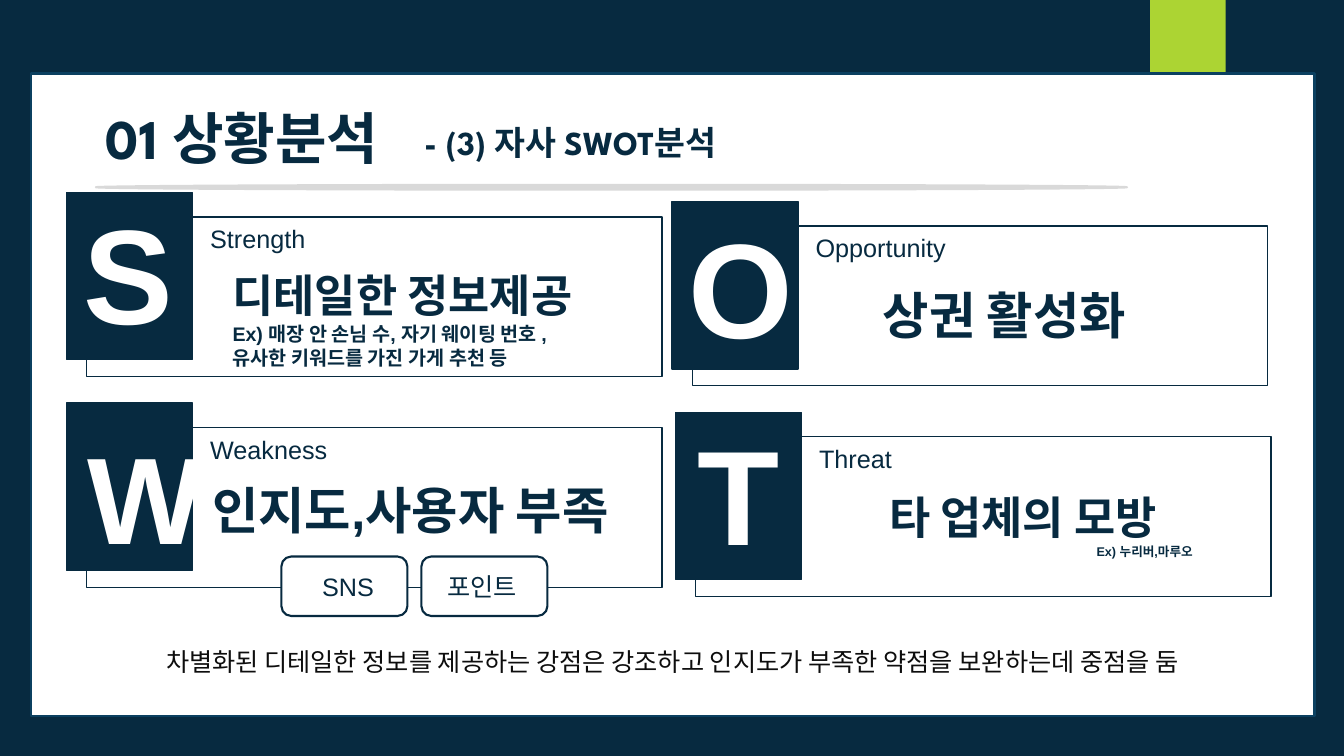
from lxml import etree
from pptx import Presentation
from pptx.dml.color import RGBColor
from pptx.enum.shapes import MSO_SHAPE
from pptx.enum.text import MSO_ANCHOR, MSO_AUTO_SIZE, PP_ALIGN
from pptx.oxml.ns import qn
from pptx.util import Pt

RECT, ROUND, OVAL = MSO_SHAPE.RECTANGLE, MSO_SHAPE.ROUNDED_RECTANGLE, MSO_SHAPE.OVAL
LEFT, CENTER, RIGHT = PP_ALIGN.LEFT, PP_ALIGN.CENTER, PP_ALIGN.RIGHT
TOP, NO_FIT = MSO_ANCHOR.TOP, MSO_AUTO_SIZE.NONE
COLORS = {"navy": "072A40", "edge": "0B4060", "lime": "ACD433",
          "gray": "D9D9D9", "white": "FFFFFF", "ink": "0D0D0D"}
HEAD_FONT, BODY_FONT, KOREAN_FONT = "League Spartan", "Arial", "Noto Sans CJK KR"


def rgb(name):
    return RGBColor.from_string(COLORS[name])


def style(p, size, color="navy", bold=False, font=BODY_FONT, align=LEFT):
    p.alignment = align
    for r in p.runs:
        r.font.size, r.font.bold, r.font.name = Pt(size), bold, font
        r.font.color.rgb = rgb(color)
        ea = etree.SubElement(r.font._element, qn("a:ea"))
        ea.set("typeface", KOREAN_FONT)


def add_box(shapes, box, fill, line=None, width=1, kind=RECT, alpha=None):
    sp = shapes.add_shape(kind, *map(Pt, box))
    sp.shadow.inherit = False
    sp.fill.solid()
    sp.fill.fore_color.rgb = rgb(fill)
    if alpha:
        color = sp.fill._xPr.find(qn("a:solidFill"))[0]
        etree.SubElement(color, qn("a:alpha")).set("val", str(alpha * 1000))
    if line:
        sp.line.color.rgb = rgb(line)
        sp.line.width = Pt(width)
    else:
        sp.line.fill.background()
    return sp


def add_text(shapes, box, text, size, wrap=True, **look):
    sp = shapes.add_textbox(*map(Pt, box))
    tf = sp.text_frame
    tf.word_wrap = wrap
    tf.text = text
    for p in tf.paragraphs:
        style(p, size, **look)
    return tf


def add_backdrop(s, box):
    """Navy page, lime tab and white panel."""
    x, y, w, h = box
    s.background.fill.solid()
    s.background.fill.fore_color.rgb = rgb("navy")
    add_box(s.shapes, (x + 799.5, 0, 54, 90), "lime")
    add_box(s.shapes, box, "white", "edge", 1.5)


def add_heading(s, box):
    """Title, subtitle and the rule beneath them."""
    x, y, w, h = box
    add_box(s.shapes, (x, y + 62, w, 3.5), "gray", "gray", 1.5, OVAL)
    title = s.shapes.title
    title.left, title.top, title.width, title.height = map(Pt, (x, y, 242, h))
    tf = title.text_frame
    tf.text = "01 상황분석"
    tf.word_wrap, tf.auto_size, tf.vertical_anchor = True, NO_FIT, TOP
    style(tf.paragraphs[0], 40, bold=True, font=HEAD_FONT)
    s.shapes.element.append(title.element)  # bring in front of the panel
    add_text(s.shapes, (x + 227.5, y + 13.5, 250, 36), "- (3) 자사 SWOT분석", 24,
             bold=True, font=HEAD_FONT)


def add_quadrant(s, box, name, letter_at, letter_size, point_at, point, point_size):
    """Outlined frame with a letter tile, the factor's name and its main point."""
    x, y, w, h = box
    g = s.shapes.add_group_shape().shapes
    add_box(g, (x + 14.5, y + 17.5, w - 14.5, h - 17.5), "white", "navy", alpha=40)
    add_box(g, (x, y, 90, 119.5), "navy", "navy")
    dx, dy, letter_w = letter_at
    add_text(g, (x + dx, y + dy, letter_w, 124), name[0], letter_size,
             color="white", bold=True, align=CENTER)
    add_text(s.shapes, (x + 95.5, y + 18.5, 132, 29), name, 18)
    dx, dy, point_w = point_at
    return add_text(s.shapes, (x + dx, y + dy, point_w, 51), point, point_size, bold=True)


def add_note(tf, lines, size, align=LEFT):
    for line in lines:
        p = tf.add_paragraph()
        p.text = line
        style(p, size, bold=True, align=align)


def add_tags(s, box, gap, tags):
    """Row of rounded tags, each with its label's offset and width."""
    x, y, w, h = box
    for i, (label, dx, label_w) in enumerate(tags):
        left = x + i * (w + gap)
        add_box(s.shapes, (left, y, w, h), "white", "navy", 1.5, ROUND)
        add_text(s.shapes, (left + dx, y + 7, label_w, 29), label, 18)


def add_conclusion(s, box):
    tf = add_text(s.shapes, box,
                  "차별화된 디테일한 정보를 제공하는 강점은 강조하고 인지도가 부족한 약점을 보완하는데 중점을 둠",
                  18, wrap=False, color="ink", font=KOREAN_FONT, align=CENTER)
    tf.paragraphs[0].line_spacing = 1.5


def main():
    prs = Presentation()
    prs.slide_width, prs.slide_height = Pt(960), Pt(540)
    s = prs.slides.add_slide(prs.slide_layouts[5])
    add_backdrop(s, (22, 52.5, 917, 459))
    add_heading(s, (68.5, 70, 736.5, 55.5))

    # SWOT quadrants
    w, h = 425.5, 131.5
    strength = add_quadrant(s, (47.5, 137.5, w, h), "Strength", (3, -5, 83), 96,
                            (111.5, 50.5, 300), "디테일한 정보제공", 32)
    add_note(strength, ["Ex) 매장 안 손님 수, 자기 웨이팅 번호 ,",
                        "유사한 키워드를 가진 가게 추천 등"], 14)
    add_quadrant(s, (47.5, 288, w, h), "Weakness", (8, 9.5, 73.5), 88,
                 (97, 50.5, 328), "인지도,사용자 부족", 36)
    add_quadrant(s, (480, 144, w, h), "Opportunity", (4.5, -1.5, 83), 96,
                 (143.5, 55.5, 235), "상권 활성화", 36)
    threat = add_quadrant(s, (482.5, 294.5, w, h), "Threat", (3.5, -4.5, 83), 96,
                          (145.5, 52, 231), "타 업체의 모방", 32)
    add_note(threat, ["Ex) 누리버,마루오"], 9, RIGHT)

    add_tags(s, (201, 397.5, 90, 42.5), 10, [("SNS", 22, 53.5), ("포인트", 11.5, 88.5)])
    add_conclusion(s, (73.5, 447, 813.5, 40.5))
    prs.save("out.pptx")


if __name__ == "__main__":
    main()
